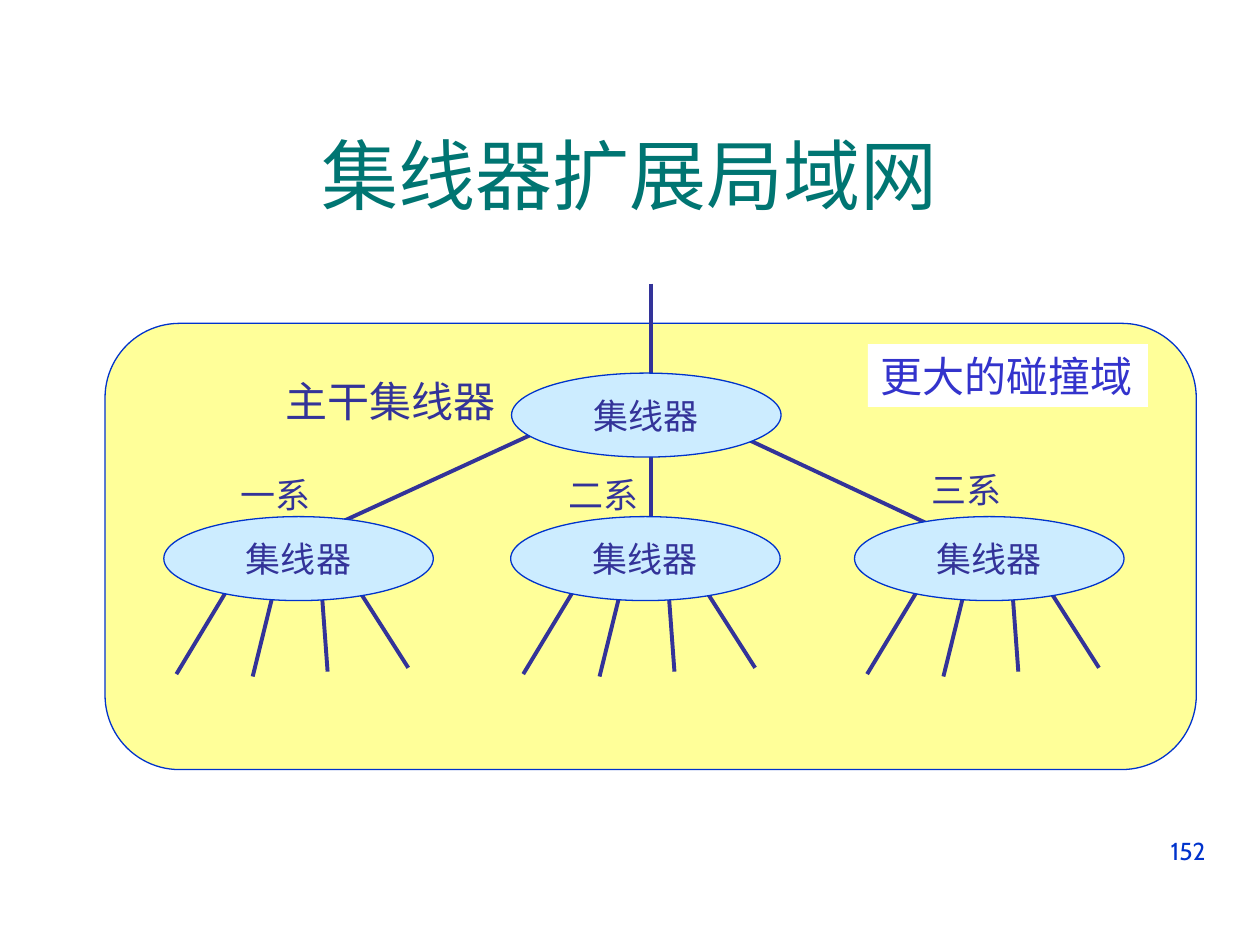
from pptx import Presentation
from pptx.dml.color import RGBColor
from pptx.enum.shapes import MSO_CONNECTOR, MSO_SHAPE
from pptx.enum.text import MSO_ANCHOR, PP_ALIGN
from pptx.oxml.ns import qn
from pptx.util import Pt
from lxml.etree import SubElement

COLORS = {
    "title": "007572",
    "ink": "333399",
    "note": "3333CC",
    "outline": "0033CC",
    "domain": "FFFF99",
    "hub": "CCECFF",
    "white": "FFFFFF",
}
HUB_WIDTH, HUB_HEIGHT = 154, 48
DEPARTMENT_TOP = 295.2
# Cable start and end, measured from the top left corner of a hub
HUB_CABLES = [
    ((44, 29), (7.2, 90)),
    ((63.4, 40.3), (50.8, 91.4)),
    ((90, 39.6), (93.6, 88.6)),
    ((108.5, 37.5), (139.7, 86.4)),
]


def rgb(name):
    return RGBColor.from_string(COLORS[name])


def write_text(shape, text, size=20, color="ink", font="Times New Roman",
               align=PP_ALIGN.LEFT, anchor=MSO_ANCHOR.TOP, wrap=False):
    frame = shape.text_frame
    frame.word_wrap = wrap
    frame.vertical_anchor = anchor
    frame.text = text
    paragraph = frame.paragraphs[0]
    paragraph.alignment = align
    paragraph.font.size = Pt(size)
    paragraph.font.name = font
    paragraph.font.color.rgb = rgb(color)


class Diagram:
    def __init__(self, slide):
        self.slide = slide
        self.outline_width = Pt(0.75)
        self.cable_width = Pt(2.25)

    def title(self, text, left, top, width, height):
        title = self.slide.shapes.title
        title.left, title.top, title.width, title.height = map(
            Pt, (left, top, width, height))
        write_text(title, text, size=44, color="title", font="Arial",
                   align=PP_ALIGN.CENTER, anchor=MSO_ANCHOR.MIDDLE, wrap=True)

    def panel(self, kind, left, top, width, height, fill, outline="outline"):
        panel = self.slide.shapes.add_shape(
            kind, Pt(left), Pt(top), Pt(width), Pt(height))
        panel.shadow.inherit = False
        panel.fill.solid()
        panel.fill.fore_color.rgb = rgb(fill)
        if outline:
            panel.line.color.rgb = rgb(outline)
            panel.line.width = self.outline_width
        else:
            panel.line.fill.background()
        return panel

    def hub(self, left, top):
        hub = self.panel(MSO_SHAPE.OVAL, left, top, HUB_WIDTH, HUB_HEIGHT, "hub")
        write_text(hub, "集线器", align=PP_ALIGN.CENTER, anchor=MSO_ANCHOR.MIDDLE)

    def label(self, text, left, top, width, height, **text_format):
        label = self.slide.shapes.add_textbox(
            Pt(left), Pt(top), Pt(width), Pt(height))
        write_text(label, text, **text_format)

    def cable(self, start, end):
        cable = self.slide.shapes.add_connector(
            MSO_CONNECTOR.STRAIGHT, *map(Pt, (*start, *end)))
        cable.line.color.rgb = rgb("ink")
        cable.line.width = self.cable_width
        SubElement(cable._element.spPr, qn("a:effectLst"))


def main():
    presentation = Presentation()
    presentation.slide_width, presentation.slide_height = Pt(720), Pt(540)
    title_only = presentation.slide_layouts[5]
    diagram = Diagram(presentation.slides.add_slide(title_only))

    diagram.title("集线器扩展局域网", 24, 54, 672, 90)

    # Collision domain
    domain = diagram.panel(MSO_SHAPE.ROUNDED_RECTANGLE,
                           60, 184.8, 623.6, 255, "domain")
    domain.adjustments[0] = 0.167

    # Backbone cables
    for start, end in [
        ((371.8, 162), (371.8, 218.9)),
        ((331.9, 235.4), (173.5, 308.2)),
        ((371.8, 247), (371.8, 309.6)),
        ((406.1, 241.2), (564.5, 315.4)),
    ]:
        diagram.cable(start, end)

    # Departments: name, name position, hub left
    for name, name_left, name_top, hub_left in [
        ("一系", 130.4, 267.2, 93.6),
        ("二系", 317.6, 267.2, 291.8),
        ("三系", 525, 264.2, 488.3),
    ]:
        for start, end in HUB_CABLES:
            diagram.cable(*((hub_left + x, DEPARTMENT_TOP + y)
                            for x, y in (start, end)))
        diagram.hub(hub_left, DEPARTMENT_TOP)
        diagram.label(name, name_left, name_top, 54.7, 31)

    # Backbone hub
    diagram.hub(292.3, 213.2)
    diagram.label("主干集线器", 156.2, 211, 134.6, 36, size=24)

    # Note on the domain
    note = diagram.panel(MSO_SHAPE.RECTANGLE, 496, 196.6, 160, 36,
                         "white", outline=None)
    write_text(note, "更大的碰撞域", size=24, color="note", wrap=True)

    # Page number
    diagram.label("152", 516, 474, 180, 37.5, size=14, color="outline",
                  font="Cabin", align=PP_ALIGN.RIGHT, wrap=True)

    presentation.save("out.pptx")


if __name__ == "__main__":
    main()
